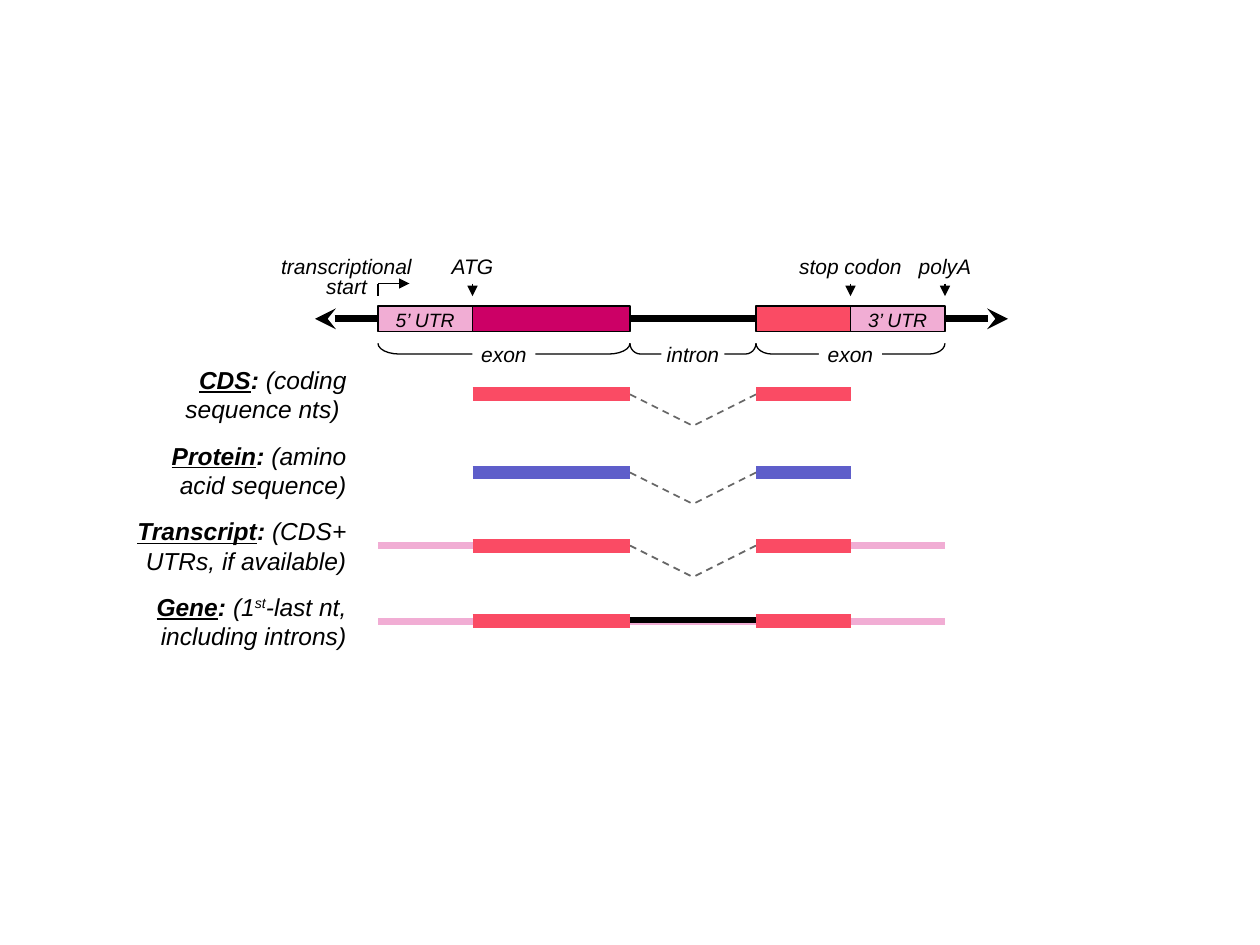
"""Draw a gene model with its CDS, protein, transcript and gene tracks."""
from dataclasses import dataclass

from lxml import etree
from pptx import Presentation
from pptx.dml.color import RGBColor
from pptx.enum.dml import MSO_LINE
from pptx.enum.shapes import MSO_CONNECTOR, MSO_SHAPE
from pptx.enum.text import MSO_ANCHOR, PP_ALIGN
from pptx.oxml.ns import qn
from pptx.util import Inches, Pt

STRAIGHT = MSO_CONNECTOR.STRAIGHT
RECTANGLE = MSO_SHAPE.RECTANGLE
BRACE = MSO_SHAPE.LEFT_BRACE
DASH = MSO_LINE.DASH
CENTER, RIGHT = PP_ALIGN.CENTER, PP_ALIGN.RIGHT
TOP, MIDDLE = MSO_ANCHOR.TOP, MSO_ANCHOR.MIDDLE


@dataclass(frozen=True)
class Theme:
    font: str = "Arial"
    black: str = "000000"
    white: str = "FFFFFF"
    utr: str = "F1ADD4"
    first_exon: str = "CC0066"
    coding: str = "FA4B64"
    protein: str = "5E5ECA"
    splice: str = "666666"
    utr_size: float = 11
    label_size: float = 12
    track_size: float = 14
    outline: float = 0.75
    thin: float = 4
    thick: float = 8


@dataclass(frozen=True)
class Span:
    text: str
    bold: bool = False
    underline: bool = False
    raised: bool = False


@dataclass(frozen=True)
class Track:
    name: str
    first: tuple[Span, ...]
    second: str
    y: float
    color: str
    utrs: tuple[tuple[float, float], ...] = ()
    spliced: bool = True


THEME = Theme()
START, ATG, DONOR, ACCEPTOR, STOP, POLYA = 3, 3.75, 5, 6, 6.75, 7.5
CODING = ((ATG, DONOR), (ACCEPTOR, STOP))
GENE_Y, EXON_TOP, EXON_HEIGHT = 2.53, 2.43, 0.2
MARK_TOP, MARK_BOTTOM = 2.25, 2.35
BRACE_Y, BRACE_DEPTH = 2.81, 0.17
LABEL_TOP, LABEL_STEP = 3.03, 0.6

EXON_PARTS = (
    (START, ATG, THEME.utr),
    (ATG, DONOR, THEME.first_exon),
    (ACCEPTOR, STOP, THEME.coding),
    (STOP, POLYA, THEME.utr),
)
REGIONS = ((START, DONOR, "exon"), (ACCEPTOR, POLYA, "exon"), (DONOR, ACCEPTOR, "intron"))
SITES = (
    (2.75, 1.25, ("transcriptional", "start")),
    (ATG, 0.5, ("ATG",)),
    (STOP, 1, ("stop codon",)),
    (POLYA, 0.5, ("polyA",)),
)
TRACKS = (
    Track("CDS", (Span("(coding"),), "sequence nts) ", 3.13, THEME.coding),
    Track("Protein", (Span("(amino"),), "acid sequence)", 3.75, THEME.protein),
    Track("Transcript", (Span("(CDS+"),), "UTRs, if available)", 4.33, THEME.coding,
          ((START, 4), (6.5, POLYA))),
    Track("Gene", (Span("(1"), Span("st", raised=True), Span("-last nt,")),
          "including introns)", 4.93, THEME.coding, ((START, POLYA),), spliced=False),
)


def rgb(color: str) -> RGBColor:
    """Turn a hex string into a colour."""
    return RGBColor.from_string(color)


def add_line(page, start: tuple[float, float], end: tuple[float, float], color: str,
             width: float, head: str = "", tail: str = "", dash=None) -> None:
    """Draw a straight line with optional arrowheads and dashes."""
    line = page.shapes.add_connector(STRAIGHT, *map(Inches, start + end))
    line.line.color.rgb = rgb(color)
    line.line.width = Pt(width)
    if dash is not None:
        line.line.dash_style = dash
    outline = line.line._get_or_add_ln()
    for tag, arrow in (("a:headEnd", head), ("a:tailEnd", tail)):
        if arrow:
            etree.SubElement(outline, qn(tag), type=arrow)
    etree.SubElement(line._element.spPr, qn("a:effectLst"))


def add_rect(page, left: float, top: float, width: float, height: float,
             fill: str, outlined: bool = True):
    """Draw a filled rectangle and return it."""
    rect = page.shapes.add_shape(RECTANGLE, *map(Inches, (left, top, width, height)))
    rect.shadow.inherit = False
    rect.fill.solid()
    rect.fill.fore_color.rgb = rgb(fill)
    if outlined:
        rect.line.color.rgb = rgb(THEME.black)
        rect.line.width = Pt(THEME.outline)
    else:
        rect.line.fill.background()
    return rect


def write(box, lines: tuple[tuple[Span, ...], ...], size: float, align=CENTER,
          anchor=TOP, spacing: float = 1, inset: tuple[float, float] = (0, 0)) -> None:
    """Fill a shape with italic lines of text."""
    frame = box.text_frame
    frame.word_wrap = True
    frame.vertical_anchor = anchor
    frame.margin_left = frame.margin_right = Inches(inset[0])
    frame.margin_top = frame.margin_bottom = Inches(inset[1])
    for index, spans in enumerate(lines):
        para = frame.add_paragraph() if index else frame.paragraphs[0]
        para.alignment = align
        para.line_spacing = spacing
        for span in spans:
            run = para.add_run()
            run.text = span.text
            run.font.name = THEME.font
            run.font.size = Pt(size)
            run.font.italic = True
            run.font.bold = span.bold
            run.font.underline = span.underline
            run.font.color.rgb = rgb(THEME.black)
            if span.raised:
                run.font._element.set("baseline", "30000")


def add_text(page, left: float, top: float, width: float, height: float,
             lines: tuple[tuple[Span, ...], ...], size: float, **layout) -> None:
    """Place a text box."""
    box = page.shapes.add_textbox(*map(Inches, (left, top, width, height)))
    write(box, lines, size, **layout)


def add_gene_model(page) -> None:
    """Draw the genomic line with its exon boxes and UTR names."""
    add_line(page, (2.5, GENE_Y), (8, GENE_Y), THEME.black, THEME.thin, "stealth", "stealth")
    for left, right, color in EXON_PARTS:
        add_rect(page, left, EXON_TOP, right - left, EXON_HEIGHT, color)
    for left, name in ((START, "5’ UTR"), (STOP, "3’ UTR")):
        add_text(page, left - 0.04, 2.4, 0.83, 0.29, ((Span(name),),), THEME.utr_size,
                 inset=(0.1, 0.05))


def add_region(page, left: float, right: float, name: str) -> None:
    """Draw a brace below a region with its name across the middle."""
    length, middle = right - left, (left + right) / 2
    brace = page.shapes.add_shape(
        BRACE, Inches(middle - BRACE_DEPTH / 2), Inches(BRACE_Y - length / 2),
        Inches(BRACE_DEPTH), Inches(length))
    brace.rotation = 270
    brace.adjustments[0] = length / 2
    brace.shadow.inherit = False
    brace.fill.background()
    brace.line.color.rgb = rgb(THEME.black)
    brace.line.width = Pt(THEME.outline)
    label = add_rect(page, middle - 0.25, BRACE_Y - 0.1, 0.5, 0.2, THEME.white, outlined=False)
    write(label, ((Span(name),),), THEME.label_size)


def add_sites(page) -> None:
    """Name and mark the sites above the gene model."""
    for center, width, names in SITES:
        add_text(page, center - width / 2, 2.05, width, 0.2,
                 tuple((Span(name),) for name in names), THEME.label_size, spacing=0.8)
    for x in (ATG, STOP, POLYA):
        add_line(page, (x, MARK_TOP), (x, MARK_BOTTOM), THEME.black, THEME.outline,
                 tail="triangle")
    add_line(page, (START, MARK_TOP), (START, MARK_BOTTOM), THEME.black, THEME.outline)
    add_line(page, (START, MARK_TOP), (START + 0.25, MARK_TOP), THEME.black, THEME.outline,
             tail="triangle")


def add_track(page, track: Track, label_top: float) -> None:
    """Draw one track with its label."""
    title = (Span(track.name, bold=True, underline=True), Span(": ", bold=True))
    add_text(page, 0.75, label_top, 2, 0.2, (title + track.first, (Span(track.second),)),
             THEME.track_size, align=RIGHT, anchor=MIDDLE)
    for left, right in track.utrs:
        add_line(page, (left, track.y), (right, track.y), THEME.utr, THEME.thin)
    if track.spliced:
        dip = ((DONOR + ACCEPTOR) / 2, track.y + 0.25)
        for x in (DONOR, ACCEPTOR):
            add_line(page, (x, track.y), dip, THEME.splice, 1, dash=DASH)
    else:
        add_line(page, (DONOR, track.y - 0.01), (ACCEPTOR, track.y - 0.01), THEME.black, 3)
    for left, right in CODING:
        add_line(page, (left, track.y), (right, track.y), track.color, THEME.thick)


def main() -> None:
    """Build and save the deck."""
    deck = Presentation()
    deck.slide_width, deck.slide_height = Inches(10), Inches(7.5)
    page = deck.slides.add_slide(deck.slide_layouts[6])
    add_gene_model(page)
    for region in REGIONS:
        add_region(page, *region)
    add_sites(page)
    for row, track in enumerate(TRACKS):
        add_track(page, track, LABEL_TOP + row * LABEL_STEP)
    deck.save("out.pptx")


if __name__ == "__main__":
    main()
